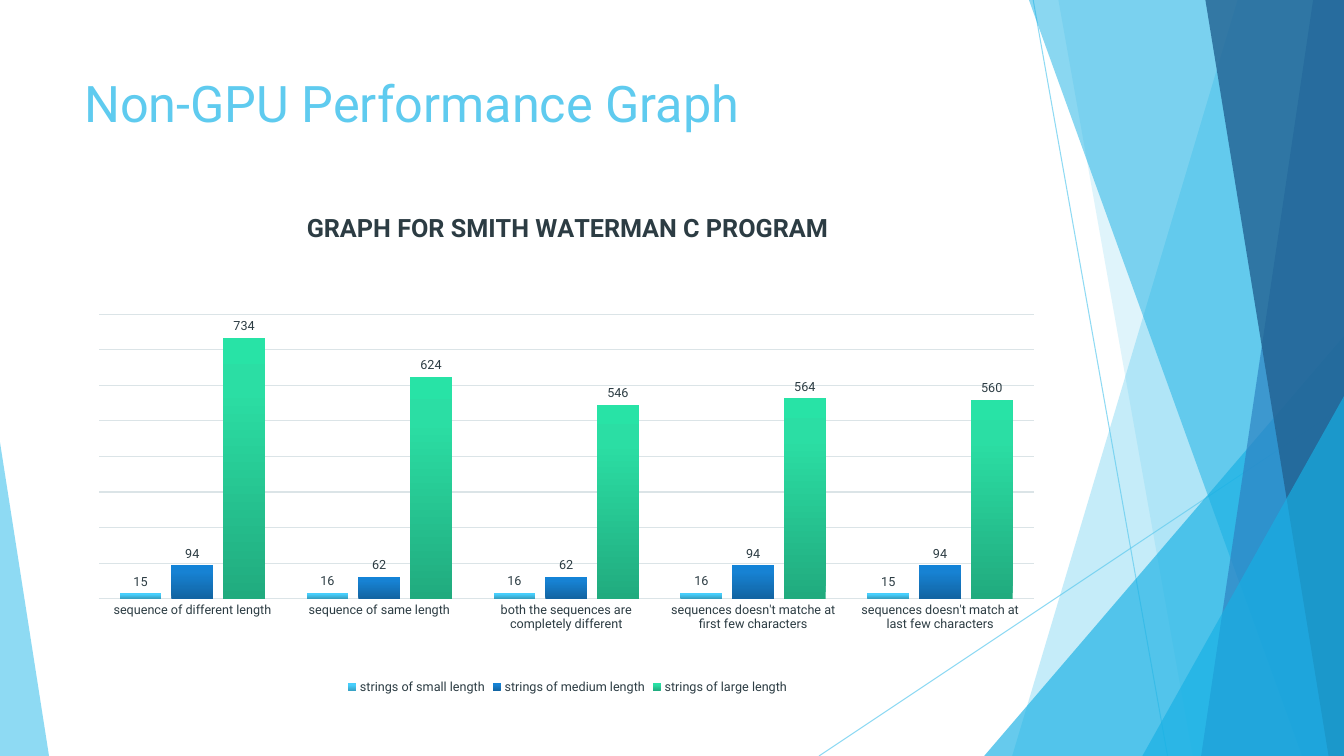
from dataclasses import dataclass

from pptx import Presentation
from pptx.chart.data import CategoryChartData as Data
from pptx.dml.color import RGBColor as Rgb
from pptx.enum.chart import XL_CHART_TYPE as Kind, XL_LABEL_POSITION as Spot
from pptx.enum.chart import XL_LEGEND_POSITION as Side, XL_TICK_LABEL_POSITION as Tags
from pptx.enum.chart import XL_TICK_MARK as Tick
from pptx.enum.shapes import MSO_CONNECTOR as Link, MSO_SHAPE as Form
from pptx.oxml.xmlchemy import OxmlElement as Node
from pptx.util import Pt

WIDE, HIGH = 960, 540


@dataclass(frozen=True)
class Theme:
    font: str = "Roboto"
    sky: str = "5FCBEF"
    cyan: str = "17B0E4"
    blue: str = "2E83C3"
    navy: str = "226292"
    ink: str = "2C3C43"
    rule: str = "DBE4E7"
    head: int = 36
    title: int = 18
    label: int = 9
    thin: float = 0.75
    bars: tuple = (("37A0C2", "47CFFD", "46D1FF"),
                   ("1264A2", "1782D3", "1383D7"),
                   ("21AB7E", "2BDEA4", "28E3A6"))


def add(root, tag, **attrs):
    """Append a child element with the given attributes."""
    item = Node(tag)
    for name, value in attrs.items():
        item.set(name, str(value))
    root.append(item)
    return item


class Page:
    def __init__(self, slide, theme):
        self.slide, self.theme = slide, theme
        self.shapes = slide.shapes

    def type(self, font, size, color, bold=False):
        font.name, font.size, font.bold = self.theme.font, Pt(size), bold
        font.color.rgb = Rgb.from_string(color)

    def paint(self, fill, color, alpha=100):
        fill.solid()
        fill.fore_color.rgb = Rgb.from_string(color)
        if alpha < 100:
            tone = fill._xPr.find(".//{*}srgbClr")
            add(tone, "a:alpha", val=alpha * 1000)

    def line(self, x1, y1, x2, y2, color, alpha):
        wire = self.shapes.add_connector(Link.STRAIGHT, Pt(x1), Pt(y1), Pt(x2), Pt(y2))
        wire.line.width = Pt(self.theme.thin)
        self.paint(wire.line.fill, color, alpha)
        add(wire._element.spPr, "a:effectLst")

    def finish(self, shape, color, alpha):
        shape.shadow.inherit = False
        shape.line.fill.background()
        self.paint(shape.fill, color, alpha)

    def band(self, top, foot, color, alpha):
        """Fill from a slanted left edge to the right side of the slide."""
        edge = self.shapes.build_freeform(top, 0, scale=Pt(1))
        edge.add_line_segments([(WIDE, 0), (WIDE, HIGH), (foot, HIGH)], close=True)
        self.finish(edge.convert_to_shape(), color, alpha)

    def wedge(self, x, y, wide, peak, color, alpha):
        """Triangle standing on the bottom edge of the slide."""
        shape = self.shapes.add_shape(Form.ISOSCELES_TRIANGLE, Pt(x), Pt(y), Pt(wide), Pt(HIGH - y))
        shape.adjustments[0] = peak
        self.finish(shape, color, alpha)

    def text(self, x, y, wide, high, words, size, color):
        frame = self.shapes.add_textbox(Pt(x), Pt(y), Pt(wide), Pt(high)).text_frame
        frame.word_wrap = True
        frame.text = words
        self.type(frame.paragraphs[0].runs[0].font, size, color)

    def place(self, root, x, y, size=None):
        """Fix the place of a chart part, in percent of the chart."""
        for old in root.findall("{*}layout"):
            root.remove(old)
        box = Node("c:layout")
        part = add(box, "c:manualLayout")
        if size:
            add(part, "c:layoutTarget", val="inner")
        add(part, "c:xMode", val="edge")
        add(part, "c:yMode", val="edge")
        for tag, share in zip(("c:x", "c:y", "c:w", "c:h"), (x, y, *(size or ()))):
            add(part, tag, val=share / 100)
        root.insert(0 if size else 1, box)

    def shade(self, series, colors):
        fill = series.format.fill
        fill.gradient()
        fill.gradient_angle = 90
        stops = fill._xPr.find(".//{*}gsLst")
        for old in list(stops):
            stops.remove(old)
        for share, color in zip((0, 80, 100), colors):
            add(add(stops, "a:gs", pos=share * 1000), "a:srgbClr", val=color)

    def chart(self, x, y, wide, high, title, cats, rows):
        look = self.theme
        data = Data()
        data.categories = cats
        for name, values in rows:
            data.add_series(name, values)
        chart = self.shapes.add_chart(
            Kind.COLUMN_CLUSTERED, Pt(x), Pt(y), Pt(wide), Pt(high), data).chart
        self.type(chart.font, look.label, look.ink)

        # Chart title and legend
        chart.has_title = True
        frame = chart.chart_title.text_frame
        frame.text = title
        self.type(frame.paragraphs[0].runs[0].font, look.title, look.ink, True)
        self.place(chart.chart_title._element, 23.1, 3)
        chart.has_legend = True
        chart.legend.position = Side.BOTTOM
        chart.legend.include_in_layout = False
        self.type(chart.legend.font, look.label, look.ink)

        # Axes
        base, scale = chart.category_axis, chart.value_axis
        for axis in (base, scale):
            axis.major_tick_mark = axis.minor_tick_mark = Tick.NONE
        self.type(base.tick_labels.font, look.label, look.ink)
        scale.minimum_scale, scale.maximum_scale, scale.major_unit = 0, 800, 100
        scale.tick_label_position = Tags.NONE
        scale.format.line.fill.background()
        for line in (base.format.line, scale.major_gridlines.format.line):
            line.width = Pt(look.thin)
            self.paint(line.fill, look.rule)

        # Bars and their values
        plot = chart.plots[0]
        plot.gap_width, plot.overlap, plot.vary_by_categories = 100, -24, False
        for series, colors in zip(plot.series, look.bars):
            self.shade(series, colors)
            tags = series.data_labels
            tags.show_value = True
            tags.position = Spot.OUTSIDE_END
            self.type(tags.font, look.label, look.ink)
        self.place(chart._chartSpace.find(".//{*}plotArea"), 2.5, 24.2, (94.7, 56.1))


def main():
    deck = Presentation()
    deck.slide_width, deck.slide_height = Pt(WIDE), Pt(HIGH)
    look = Theme()
    page = Page(deck.slides.add_slide(deck.slide_layouts[6]), look)

    # Slanted backdrop
    page.line(738, 0, 834, HIGH, look.sky, 70)
    page.line(WIDE, 290, 585, HIGH, look.sky, 70)
    page.band(884, 723, look.sky, 36)
    page.band(756, 852, look.sky, 20)
    page.wedge(703, 240, 257, 1, look.cyan, 66)
    page.band(735, 930, look.cyan, 50)
    page.band(938, 858, look.blue, 70)
    page.band(861, 949, look.navy, 80)
    page.wedge(816, 283, 144, 1, look.cyan, 66)
    page.wedge(0, 316, 35, 0, look.sky, 70)

    # Heading
    page.text(53, 48, 677, 104, "Non-GPU Performance Graph", look.head, look.sky)

    # Run times by kind of sequence
    cats = ("sequence of different length",
            "sequence of same length",
            "both the sequences are completely different",
            "sequences doesn't matche at first few characters",
            "sequences doesn't match at last few characters")
    rows = (("strings of small length", (15, 16, 16, 16, 15)),
            ("strings of medium length", (94, 62, 62, 94, 94)),
            ("strings of large length", (734, 624, 546, 564, 560)))
    page.chart(53, 137, 705, 362, "GRAPH FOR SMITH WATERMAN C PROGRAM", cats, rows)
    deck.save("out.pptx")


if __name__ == "__main__":
    main()
